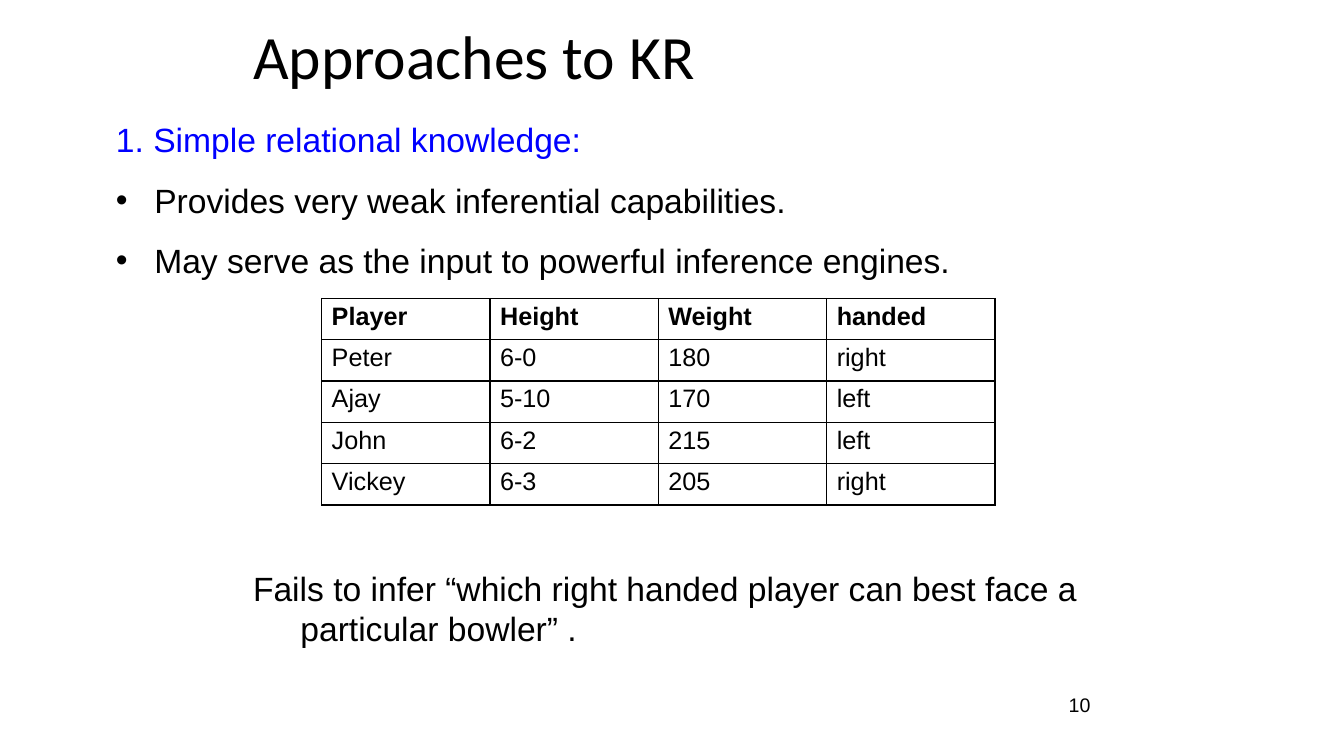
from pptx import Presentation
from pptx.dml.color import RGBColor
from pptx.enum.text import MSO_ANCHOR
from pptx.oxml.xmlchemy import OxmlElement
from pptx.util import Inches, Pt

MIDDLE, TOP = MSO_ANCHOR.MIDDLE, MSO_ANCHOR.TOP
COLORS = {"text": "000000", "heading": "0000FF", "border": "000000"}

# Content
TITLE = "Approaches to KR"
HEADING = "1. Simple relational knowledge:"
POINTS = [
    "Provides very weak inferential capabilities.",
    "May serve as the input to powerful inference engines.",
]
PLAYERS = [
    ("Player", "Height", "Weight", "handed"),
    ("Peter", "6-0", "180", "right"),
    ("Ajay", "5-10", "170", "left"),
    ("John", "6-2", "215", "left"),
    ("Vickey", "6-3", "205", "right"),
]
CONCLUSION = "Fails to infer “which right handed player can best face a particular bowler” ."
PAGE = "10"

# Table geometry in inches
TABLE_LEFT, TABLE_TOP, COL_W, ROW_H = 3.19, 2.96, 1.67, 0.41


def style(p, size, color="text", font="Arial", bold=False):
    for r in p.runs:
        r.font.size, r.font.name, r.font.bold = Pt(size), font, bold
        r.font.color.rgb = RGBColor.from_string(COLORS[color])


def indent(p, left, first=0):
    pPr = p._p.get_or_add_pPr()
    pPr.set("marL", str(Inches(left)))
    pPr.set("indent", str(Inches(first)))
    return pPr


def bullet(p):
    pPr = indent(p, 0.39, -0.38)
    buFont = OxmlElement("a:buFont")
    buFont.set("typeface", "Arial")
    buChar = OxmlElement("a:buChar")
    buChar.set("char", "•")
    pPr.extend([buFont, buChar])


def add_text(s, box, lines, inset=0.01, anchor=TOP):
    tf = s.shapes.add_textbox(*map(Inches, box)).text_frame
    tf.word_wrap = True
    tf.vertical_anchor = anchor
    tf.margin_left = tf.margin_right = tf.margin_bottom = 0
    tf.margin_top = Inches(inset)
    tf.text = "\n".join(lines)
    for p in tf.paragraphs:
        indent(p, 0.01)
    return tf.paragraphs


def add_borders(cell):
    tcPr = cell._tc.get_or_add_tcPr()
    for i, side in enumerate(("lnL", "lnR", "lnT", "lnB")):
        ln = OxmlElement(f"a:{side}")
        ln.set("w", str(Pt(1)))
        fill = OxmlElement("a:solidFill")
        clr = OxmlElement("a:srgbClr")
        clr.set("val", COLORS["border"])
        fill.append(clr)
        ln.append(fill)
        tcPr.insert(i, ln)


def add_players(s):
    rows, cols = len(PLAYERS), len(PLAYERS[0])
    box = (TABLE_LEFT, TABLE_TOP, cols * COL_W, rows * ROW_H)
    table = s.shapes.add_table(rows, cols, *map(Inches, box)).table
    table.first_row = table.horz_banding = False
    for col in table.columns:
        col.width = Inches(COL_W)
    for i, player in enumerate(PLAYERS):
        table.rows[i].height = Inches(ROW_H)
        for j, value in enumerate(player):
            cell = table.cell(i, j)
            cell.fill.background()
            cell.margin_left = cell.margin_right = cell.margin_bottom = 0
            cell.margin_top = Inches(0.04)
            cell.text = value
            p = cell.text_frame.paragraphs[0]
            indent(p, 0.1)
            style(p, 18, bold=i == 0)
            add_borders(cell)


def main():
    prs = Presentation()
    prs.slide_width, prs.slide_height = Inches(13.33), Inches(7.5)
    s = prs.slides.add_slide(prs.slide_layouts[6])

    # Page number and title
    style(add_text(s, (10.59, 6.86, 0.24, 0.25), [PAGE])[0], 14)
    title = add_text(s, (2.5, 0.16, 6.21, 0.75), [TITLE], anchor=MIDDLE)
    style(title[0], 44, font="Calibri")

    # Heading and bullet points
    heading, *points = add_text(s, (1.14, 1.06, 8.29, 1.75), [HEADING, *POINTS], 0.12)
    style(heading, 24, "heading")
    for p in points:
        p.space_before = Pt(14.4)
        bullet(p)
        style(p, 24)

    # Conclusion with a hanging indent
    p = add_text(s, (2.5, 5.62, 8.2, 0.83), [CONCLUSION])[0]
    indent(p, 0.48, -0.47)
    style(p, 24)

    # Player table
    add_players(s)
    prs.save("out.pptx")


if __name__ == "__main__":
    main()
